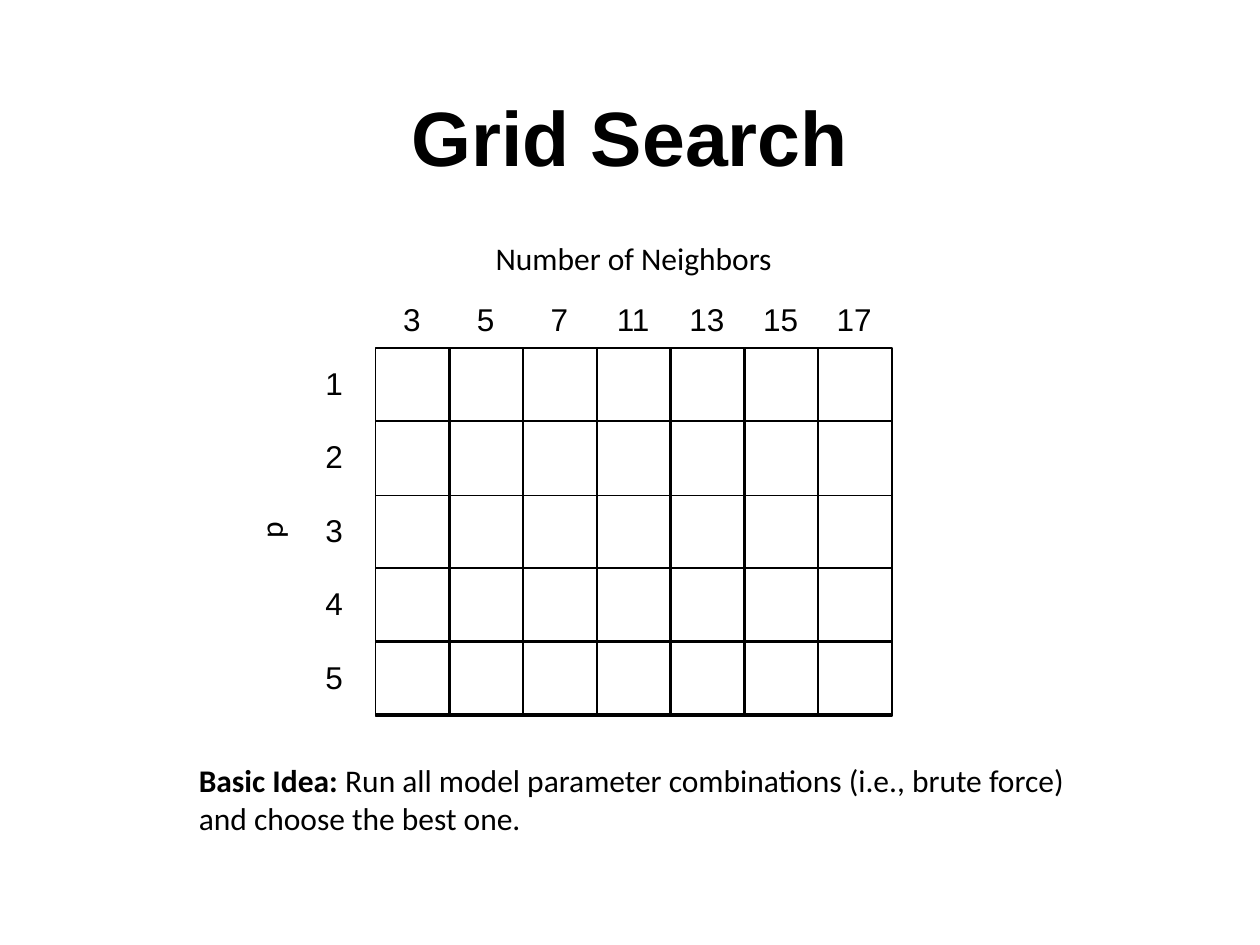
from dataclasses import dataclass

from pptx import Presentation
from pptx import util as u
from pptx.dml.color import RGBColor
from pptx.enum import shapes, text

COLORS = {"ink": "000000", "paper": "FFFFFF"}
NEIGHBORS = (3, 5, 7, 11, 13, 15, 17)
P_VALUES = (1, 2, 3, 4, 5)
OUTLINED_ROWS = (1, 4, 3)
PITCH, CELL = 0.585, 0.59
ROW_PITCH = 0.5825
GRID_LEFT, GRID_TOP, GRID_WIDTH, GRID_HEIGHT = 2.98, 2.76, 4.1, 2.91
ALIGN = text.PP_ALIGN


@dataclass
class Run:
    """A piece of text in one style."""
    text: str
    font: str = "Calibri"
    size: float = 18
    bold: bool = False


@dataclass
class Label:
    """A text box with its place in inches."""
    left: float
    top: float
    width: float
    height: float
    runs: list[Run]
    align: text.PP_ALIGN = ALIGN.CENTER
    rotation: float = 0


def add_runs(p, runs: list[Run]) -> None:
    """Append styled runs to a paragraph."""
    for run in runs:
        r = p.add_run()
        r.text = run.text
        r.font.name, r.font.size, r.font.bold = run.font, u.Pt(run.size), run.bold
        r.font.color.rgb = RGBColor.from_string(COLORS["ink"])


def add_label(s, label: Label) -> None:
    """Draw one wrapped text box."""
    sp = s.shapes.add_textbox(*map(u.Inches, (label.left, label.top, label.width, label.height)))
    sp.rotation = label.rotation
    tf = sp.text_frame
    tf.word_wrap = True
    tf.auto_size = text.MSO_AUTO_SIZE.SHAPE_TO_FIT_TEXT
    p = tf.paragraphs[0]
    p.alignment = label.align
    add_runs(p, label.runs)


def add_band(s, left: float, top: float, width: float, height: float, rotation: float = 0) -> None:
    """Draw an unfilled outline for one column or row of the grid."""
    sp = s.shapes.add_shape(shapes.MSO_SHAPE.RECTANGLE, *map(u.Inches, (left, top, width, height)))
    sp.rotation = rotation
    sp.shadow.inherit = False
    sp.fill.background()
    sp.line.color.rgb = RGBColor.from_string(COLORS["ink"])
    sp.line.width = u.Pt(1)


def add_title(s, title: str) -> None:
    """Place and format the slide title."""
    sp = s.shapes.title
    sp.left, sp.top, sp.width, sp.height = map(u.Inches, (0.69, 0.4, 8.62, 1.45))
    tf = sp.text_frame
    tf.vertical_anchor = text.MSO_ANCHOR.MIDDLE
    p = tf.paragraphs[0]
    p.alignment, p.line_spacing = ALIGN.CENTER, 0.9
    add_runs(p, [Run(title, "Arial", 44, True)])


def add_grid(s) -> None:
    """Draw the parameter grid and its numbers."""
    for i in range(len(NEIGHBORS)):
        add_band(s, GRID_LEFT + i * PITCH, GRID_TOP, CELL, GRID_HEIGHT)
    for row in OUTLINED_ROWS:
        center_x = GRID_LEFT + GRID_WIDTH / 2
        center_y = GRID_TOP + row * ROW_PITCH + CELL / 2
        add_band(s, center_x - CELL / 2, center_y - GRID_WIDTH / 2, CELL, GRID_WIDTH, 270)
    for i, value in enumerate(NEIGHBORS):
        add_label(s, Label(2.95 + i * PITCH, 2.33, 0.64, 0.4, [Run(str(value), "Arial")]))
    for i, value in enumerate(P_VALUES):
        add_label(s, Label(2.18, 2.84 + i * ROW_PITCH, 0.64, 0.4,
                           [Run(str(value), "Arial")], ALIGN.RIGHT))


def main() -> None:
    """Build and save the slide."""
    prs = Presentation()
    prs.slide_width, prs.slide_height = u.Inches(10), u.Inches(7.5)
    s = prs.slides.add_slide(prs.slide_layouts[5])
    s.background.fill.solid()
    s.background.fill.fore_color.rgb = RGBColor.from_string(COLORS["paper"])
    add_title(s, "Grid Search")
    add_grid(s)
    idea = [Run("Basic Idea: ", bold=True),
            Run("Run all model parameter combinations (i.e., brute force) and choose the best one.")]
    for label in (
        Label(3.05, 1.85, 3.96, 0.4, [Run("Number of Neighbors")]),
        Label(0.69, 4.01, 2.91, 0.4, [Run("p")], rotation=270),
        Label(1.48, 5.99, 7.1, 0.71, idea, ALIGN.LEFT),
    ):
        add_label(s, label)
    prs.save("out.pptx")


main()
